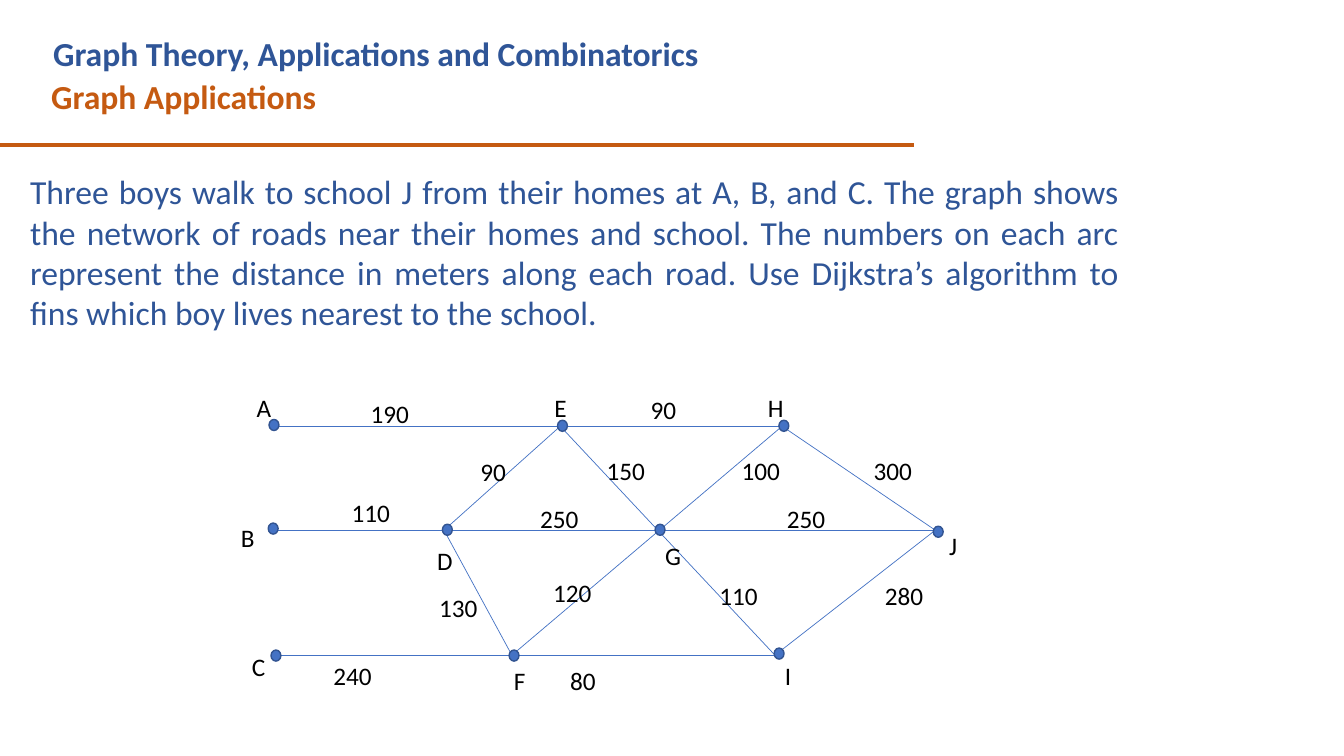
from lxml import etree
from pptx import Presentation
from pptx import util as u
from pptx.dml.color import RGBColor
from pptx.enum import shapes, text
from pptx.oxml.ns import qn

COLORS = {"orange": "C55A11", "navy": "2F5597", "blue": "4472C4",
          "outline": "325491", "black": "000000"}
LABEL_H = 1.02
NODE_W, NODE_H = 0.25, 0.28

PROBLEM = ("Three boys walk to school J from their homes at A, B, and C. "
           "The graph shows the network of roads near their homes and school. "
           "The numbers on each arc represent the distance in meters along each road. "
           "Use Dijkstra’s algorithm to fins which boy lives nearest to the school.")

ROAD_ENDS = {"A": (6.83, 10.74), "B": (6.81, 13.36), "C": (6.83, 16.51),
             "D": (11.19, 13.36), "E": (14.12, 10.74), "F": (12.9, 16.51),
             "H": (19.71, 10.74), "I": (19.53, 16.51), "J": (23.57, 13.36)}
ROADS = ["AH", "CI", "BJ", "HJ", "IJ", "HF", "IE", "ED", "DF"]

NODES = {"J": (23.52, 13.26), "G": (16.51, 13.21), "I": (19.51, 16.33),
         "H": (19.63, 10.59), "F": (12.83, 16.38), "E": (14.05, 10.59),
         "D": (11.15, 13.21), "B": (6.76, 13.18), "C": (6.83, 16.38),
         "A": (6.78, 10.57)}

LABELS = [("A", 6.22, 9.75, 1.24), ("B", 5.82, 13.03, 1.24),
          ("C", 6.1, 16.28, 1.32), ("D", 10.77, 13.61, 1.24),
          ("E", 13.72, 9.75, 1.17), ("F", 12.7, 16.64, 1.63),
          ("G", 16.51, 13.49, 0.91), ("H", 19.1, 9.75, 1.17),
          ("I", 19.53, 16.51, 1.4), ("J", 23.67, 13.23, 1.57),
          ("190", 9.09, 9.91, 2.11), ("90", 16.15, 9.8, 1.63),
          ("300", 21.77, 11.35, 2.01), ("280", 22.05, 14.5, 1.55),
          ("80", 14.12, 16.64, 2.64), ("240", 8.15, 16.51, 2.49),
          ("110", 8.61, 12.4, 1.55), ("250", 13.36, 12.57, 1.78),
          ("250", 19.58, 12.55, 2.06), ("90", 11.86, 11.38, 1.5),
          ("150", 15.04, 11.35, 1.63), ("100", 18.44, 11.35, 1.75),
          ("110", 17.88, 14.5, 2.06), ("120", 13.69, 14.43, 1.63),
          ("130", 10.82, 14.81, 1.63)]


def rgb(name):
    """Return the named colour."""
    return RGBColor.from_string(COLORS[name])


def add_text(s, words, x, y, w, h, size, color, bold=False, align=None):
    """Add a one-paragraph text box."""
    tf = s.shapes.add_textbox(u.Cm(x), u.Cm(y), u.Cm(w), u.Cm(h)).text_frame
    tf.word_wrap = True
    tf.auto_size = text.MSO_AUTO_SIZE.SHAPE_TO_FIT_TEXT
    p = tf.paragraphs[0]
    p.text = words
    p.alignment = align
    p.font.name = "Calibri"
    p.font.size = u.Pt(size)
    p.font.bold = bold
    p.font.color.rgb = rgb(color)


def add_line(s, start, end, color, width):
    """Add a straight line without shadow."""
    line = s.shapes.add_connector(shapes.MSO_CONNECTOR.STRAIGHT,
                                  *(u.Cm(v) for v in (*start, *end)))
    line.line.color.rgb = rgb(color)
    line.line.width = u.Pt(width)
    etree.SubElement(line._element.spPr, qn("a:effectLst"))


def add_node(s, x, y):
    """Add a graph node as a small dot."""
    sp = s.shapes.add_shape(shapes.MSO_SHAPE.OVAL, u.Cm(x), u.Cm(y),
                            u.Cm(NODE_W), u.Cm(NODE_H))
    sp.shadow.inherit = False
    sp.fill.solid()
    sp.fill.fore_color.rgb = rgb("blue")
    sp.line.color.rgb = rgb("outline")
    sp.line.width = u.Pt(1)


def main():
    """Build the slide and save it."""
    prs = Presentation()
    prs.slide_width, prs.slide_height = u.Cm(33.87), u.Cm(19.05)
    s = prs.slides.add_slide(prs.slide_layouts[6])
    add_text(s, "Graph Applications", 1.04, 1.8, 22.23, 1.27, 24, "orange", bold=True)
    add_line(s, (-0.03, 3.66), (23.04, 3.66), "orange", 3)
    add_text(s, "Graph Theory, Applications and Combinatorics",
             1.09, 0.71, 20.83, 1.27, 24, "navy", bold=True)
    add_text(s, PROBLEM, 0.51, 4.19, 27.94, 4.37, 24, "navy",
             align=text.PP_ALIGN.JUSTIFY)
    for start, end in ROADS:
        add_line(s, ROAD_ENDS[start], ROAD_ENDS[end], "blue", 0.5)
    for x, y in NODES.values():
        add_node(s, x, y)
    for words, x, y, w in LABELS:
        add_text(s, words, x, y, w, LABEL_H, 18, "black")
    prs.save("out.pptx")


if __name__ == "__main__":
    main()
